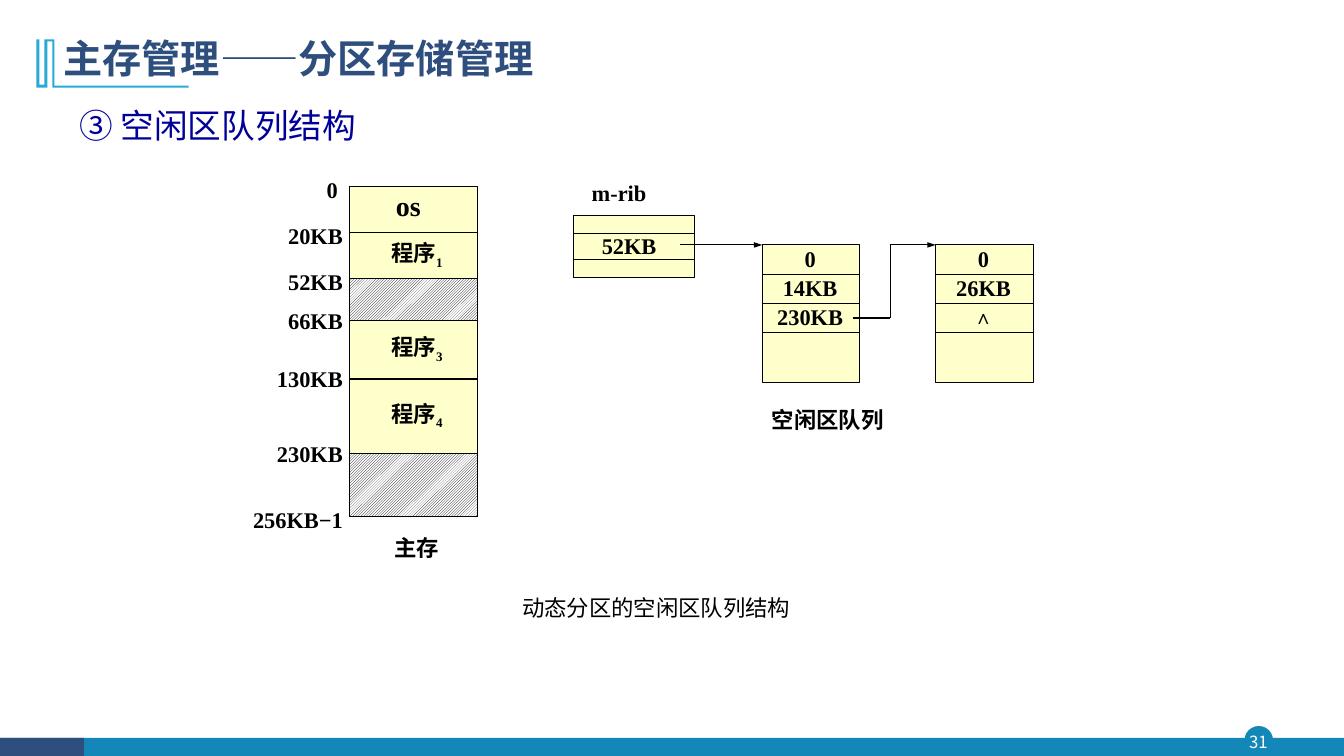
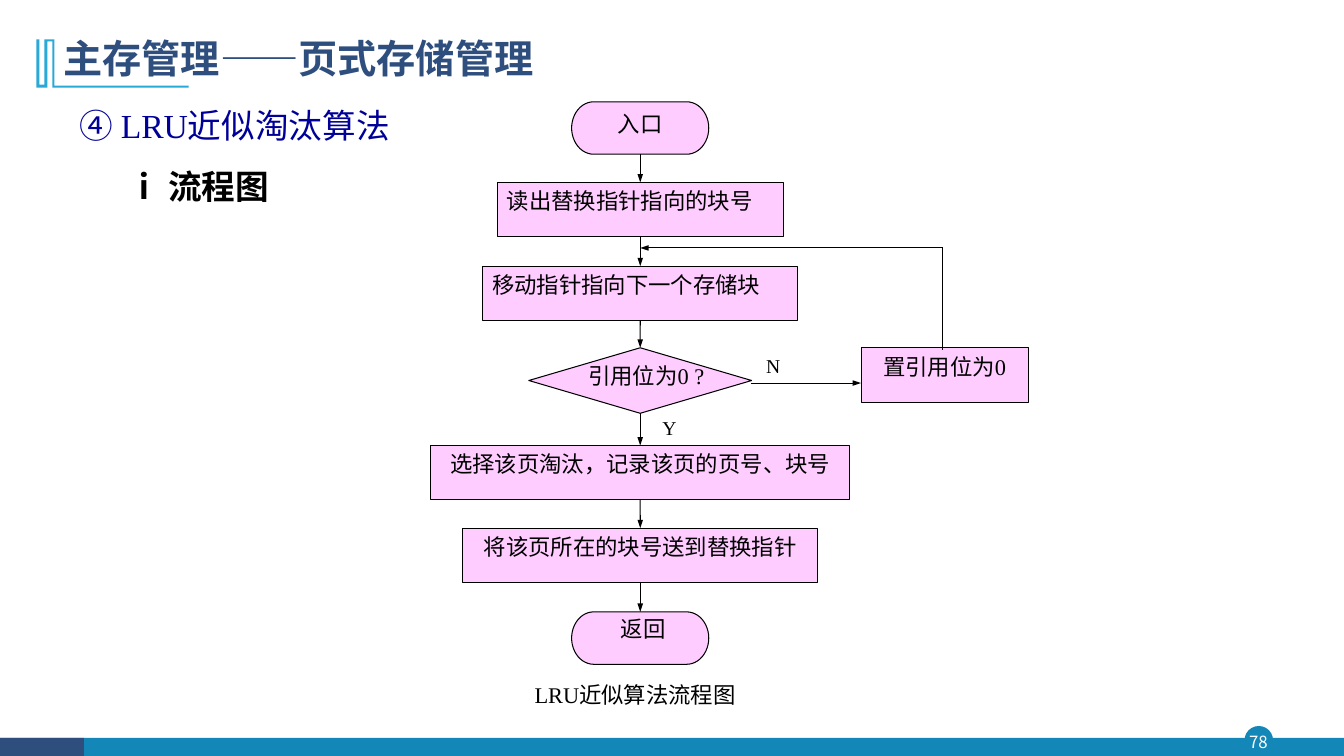
import pptx
import pptx.util
import pptx.dml.color
import pptx.enum.dml
import pptx.enum.shapes
import pptx.enum.text
import pptx.oxml.ns
from lxml import etree

Inches, Pt = pptx.util.Inches, pptx.util.Pt
RGB = pptx.dml.color.RGBColor
SHAPE = pptx.enum.shapes.MSO_SHAPE
ALIGN = pptx.enum.text.PP_ALIGN
ANCHOR = pptx.enum.text.MSO_ANCHOR
qn = pptx.oxml.ns.qn

W, H = 13.33, 7.5
TEAL, NAVY, SKY = RGB(0x13, 0x87, 0xB7), RGB(0x2E, 0x4E, 0x7E), RGB(0x28, 0xA9, 0xD6)
BLUE, BLACK, WHITE = RGB(0, 0, 0x99), RGB(0, 0, 0), RGB(255, 255, 255)
CREAM, PINK = RGB(0xFF, 0xFF, 0xCC), RGB(0xFF, 0xCC, 0xFF)
SERIF, SANS = "Times New Roman", "Noto Sans CJK SC"


# ---- Text and shape helpers ----
def add_run(p, text, size=16, color=BLACK, bold=False, font=SERIF, sub=False):
    r = p.add_run()
    r.text = text
    f = r.font
    f.size, f.bold, f.name = Pt(size), bold, font
    f.color.rgb = color
    rPr = r._r.get_or_add_rPr()
    etree.SubElement(rPr, qn("a:ea")).set("typeface", SANS)
    if sub:
        rPr.set("baseline", "-25000")


def set_frame(tf, inset=(0, 0), anchor=ANCHOR.MIDDLE):
    tf.margin_left = tf.margin_right = Inches(inset[0])
    tf.margin_top = tf.margin_bottom = Inches(inset[1])
    tf.vertical_anchor, tf.word_wrap = anchor, True
    tf.auto_size = pptx.enum.text.MSO_AUTO_SIZE.NONE


def place(sp, x, y, w, h):
    sp.left, sp.top, sp.width, sp.height = map(Inches, (x, y, w, h))


def add_box(s, kind, x, y, w, h, fill, line=BLACK, weight=0.75):
    sp = s.shapes.add_shape(kind, *map(Inches, (x, y, w, h)))
    sp.shadow.inherit = False
    sp.fill.solid()
    sp.fill.fore_color.rgb = fill
    if line is None:
        sp.line.fill.background()
    else:
        sp.line.color.rgb = line
        sp.line.width = Pt(weight)
    return sp


def add_label(s, cx, cy, runs, align=ALIGN.CENTER, w=1.6):
    """A line of (text, style) runs centred on (cx, cy), or ending at cx when right-aligned."""
    left = cx - w if align == ALIGN.RIGHT else cx - w / 2
    sp = s.shapes.add_textbox(*map(Inches, (left, cy - 0.18, w, 0.36)))
    set_frame(sp.text_frame)
    p = sp.text_frame.paragraphs[0]
    p.alignment = align
    for text, style in runs:
        add_run(p, text, **style)


def add_line(s, start, end, arrow=False):
    c = s.shapes.add_connector(pptx.enum.shapes.MSO_CONNECTOR.STRAIGHT,
                               *map(Inches, start + end))
    c.line.color.rgb = BLACK
    c.line.width = Pt(0.75)
    if arrow:
        etree.SubElement(c.line._get_or_add_ln(), qn("a:tailEnd"),
                         {"type": "triangle", "w": "sm", "len": "med"})
    etree.SubElement(c._element.spPr, qn("a:effectLst"))
    return c


def add_route(s, *points):
    """Straight legs through the points, with an arrowhead on the last."""
    for i in range(len(points) - 1):
        add_line(s, points[i], points[i + 1], arrow=i == len(points) - 2)


# ---- Shared slide frame ----
def add_frame(s, number):
    # Footer band and page number
    bar_y, bar_h = 7.32, 0.18
    badge = add_box(s, SHAPE.OVAL, 12.35, 7.21, 0.27, 0.27, TEAL, TEAL, 1)
    add_box(s, SHAPE.RECTANGLE, 0, bar_y, W, bar_h, TEAL, None)
    add_box(s, SHAPE.RECTANGLE, 0, bar_y, W / 16, bar_h, NAVY, None)
    num = s.shapes.add_textbox(badge.left - Inches(0.03), badge.top, Inches(0.32), Inches(0.3))
    set_frame(num.text_frame)
    p = num.text_frame.paragraphs[0]
    p.alignment = ALIGN.CENTER
    add_run(p, number, 12, WHITE, font=SANS)
    # Bracket beside the title, in hundredths of an inch
    outline = [(54, 85), (187, 85), (187, 87), (52, 87), (52, 41), (47, 41), (47, 87),
               (36, 87), (36, 39), (39, 39), (39, 84), (44, 84), (44, 39)]
    fb = s.shapes.build_freeform(54, 39, scale=Inches(0.01))
    fb.add_line_segments(outline, close=True)
    bracket = fb.convert_to_shape()
    bracket.shadow.inherit = False
    bracket.fill.solid()
    bracket.fill.fore_color.rgb = SKY
    bracket.line.fill.background()


def new_slide(prs, number, title, headings):
    """headings: (indent, colour, bold, [(text, font), ...]) for each paragraph."""
    s = prs.slides.add_slide(prs.slide_layouts[1])
    add_frame(s, number)
    head = s.shapes.title
    place(head, 0.53, 0.32, 10.49, 0.56)
    set_frame(head.text_frame, (0.1, 0.05))
    p = head.text_frame.paragraphs[0]
    p.alignment, p.line_spacing = ALIGN.LEFT, 0.9
    add_run(p, title, 28, NAVY, True, SANS)

    body = s.placeholders[1]
    place(body, 0.69, 0.99, 3.5, 0.58 * len(headings))
    tf = body.text_frame
    set_frame(tf, (0.1, 0.05), ANCHOR.TOP)
    for i, (indent, color, bold, runs) in enumerate(headings):
        p = tf.add_paragraph() if i else tf.paragraphs[0]
        pPr = p._p.get_or_add_pPr()
        pPr.set("marL", str(Inches(indent)))
        pPr.set("indent", "0")
        etree.SubElement(pPr, qn("a:buNone"))
        p.space_before = Pt(15 if i else 0)
        for text, font in runs:
            add_run(p, text, 24, color, bold, font)
    return s


# ---- Memory map and free queue ----
HATCH = "hatch"
BOLD = {"bold": True}


def add_stack(s, x, y, w, edges, cells, shift=0):
    """A box ruled at the edges (offsets from y); shift moves the cell text sideways."""
    add_box(s, SHAPE.RECTANGLE, x, y, w, edges[-1], CREAM)
    for edge in edges[1:-1]:
        add_line(s, (x, y + edge), (x + w, y + edge))
    for top, bottom, cell in zip(edges, edges[1:], cells):
        if cell == HATCH:
            free = add_box(s, SHAPE.RECTANGLE, x, y + top, w, bottom - top, CREAM)
            free.fill.patterned()
            free.fill.pattern = pptx.enum.dml.MSO_PATTERN.LIGHT_UPWARD_DIAGONAL
            free.fill.fore_color.rgb = BLACK
            free.fill.back_color.rgb = WHITE
        elif cell:
            add_label(s, x + w / 2 + shift, y + (top + bottom) / 2 - 0.01, cell, w=w)


def add_memory_map(s, x, y):
    def program(n):
        return [("程序", BOLD), (n, {"bold": True, "sub": True})]

    edges = [0, 0.46, 0.91, 1.33, 1.91, 2.65, 3.27]
    add_stack(s, x, y, 1.27, edges,
              [None, program("1"), HATCH, program("3"), program("4"), HATCH], 0.03)
    add_label(s, x + 0.58, y + 0.19, [("os", {"size": 20, "bold": True})], w=0.6)
    addresses = ["0", "20KB", "52KB", "66KB", "130KB", "230KB", "256KB−1"]
    for i, (edge, address) in enumerate(zip(edges, addresses)):
        drop = 0 if 3 <= i <= 5 else 0.03
        gap = 0.07 if i else 0.12
        add_label(s, x - gap, y + edge + drop, [(address, BOLD)], ALIGN.RIGHT, 1.1)
    add_label(s, x + 0.66, y + edges[-1] + 0.31, [("主存", BOLD)], w=0.9)


def add_free_queue(s, x, y):
    add_label(s, x + 0.45, y - 0.23, [("m-rib", BOLD)], w=0.93)
    add_stack(s, x, y, 1.2, [0, 0.18, 0.43, 0.61], [None, [("52KB", BOLD)], None], -0.05)
    top, w, row = y + 0.29, 0.97, 0.29
    first, second = x + 1.87, x + 3.59
    end_mark = {"size": 14, "bold": True, "font": "Arial"}
    for left, size, link, style in [(first, "14KB", "230KB", BOLD), (second, "26KB", "∧", end_mark)]:
        add_stack(s, left, top, w, [0, row, 2 * row, 3 * row, 1.37],
                  [[("0", BOLD)], [(size, BOLD)], [(link, style)], None], -0.01)
    # Links between the nodes
    add_route(s, (x + 1.05, top), (first, top))
    link_y, turn = top + 2.5 * row, first + w + 0.3
    add_route(s, (first + w - 0.07, link_y), (turn, link_y), (turn, top), (second, top))
    add_label(s, first + 0.65, top + 1.73, [("空闲区队列", BOLD)], w=1.5)


# ---- Flowchart ----
def add_step(s, cx, y, w, runs, align=ALIGN.CENTER):
    sp = add_box(s, SHAPE.RECTANGLE, cx - w / 2, y, w, 0.54, PINK)
    set_frame(sp.text_frame, (0.1, 0.05), ANCHOR.TOP)
    p = sp.text_frame.paragraphs[0]
    p.alignment = align
    for i, text in enumerate(runs):
        add_run(p, text, font=SANS if i == 1 else SERIF)
    return sp


def add_outline(s, kind, cx, y, w, h, text, dx, dy):
    """A terminator or decision, its label moved by (dx, dy) from the centre."""
    sp = add_box(s, kind, cx - w / 2, y, w, h, PINK)
    add_label(s, cx + dx, y + h / 2 + dy, [(text, {})], w=1.4)
    return sp


def add_flowchart(s, cx, y):
    end, test = SHAPE.FLOWCHART_TERMINATOR, SHAPE.FLOWCHART_DECISION
    nodes = [
        add_outline(s, end, cx, y, 1.36, 0.52, "入口", 0, -0.04),
        add_step(s, cx, y + 0.80, 2.84, ["读出替换指针指向的块号"], ALIGN.LEFT),
        add_step(s, cx, y + 1.63, 3.13, ["移动指针指向下一个存储块"], ALIGN.LEFT),
        add_outline(s, test, cx, y + 2.44, 2.21, 0.65, "引用位为0 ?", 0.06, -0.05),
        add_step(s, cx, y + 3.41, 4.16, ["选择该页淘汰，记录该页的页号", "、块号"]),
        add_step(s, cx, y + 4.23, 3.52, ["将该页所在的", "块号送到", "替换指针"]),
        add_outline(s, end, cx, y + 5.06, 1.36, 0.52, "返回", 0.03, -0.09),
    ]
    for upper, lower in zip(nodes, nodes[1:]):
        c = add_line(s, (cx, y), (cx, y + 0.3), arrow=True)
        c.begin_connect(upper, 2)
        c.end_connect(lower, 0)
    # Branch that clears the bit and loops back
    side = cx + 3.02
    add_step(s, side, y + 2.44, 1.66, ["置引用位为0"])
    add_route(s, (cx + 1.1, y + 2.79), (side - 0.83, y + 2.79))
    add_route(s, (side - 0.02, y + 2.46), (side - 0.02, y + 1.45), (cx, y + 1.45))
    for dx, dy, text in [(0.29, 3.23, "Y"), (1.32, 2.62, "N")]:
        add_label(s, cx + dx, y + dy, [(text, {"size": 14})], w=0.4)


def main():
    prs = pptx.Presentation()
    prs.slide_width, prs.slide_height = Inches(W), Inches(H)

    s = new_slide(prs, "31", "主存管理——分区存储管理",
                  [(0, BLUE, False, [("③ 空闲区队列结构", SERIF)])])
    add_memory_map(s, 3.47, 1.85)
    add_free_queue(s, 5.69, 2.14)
    add_label(s, 6.51, 6.03, [("动态分区的空闲区队列结构", {})], w=3.4)

    s = new_slide(prs, "78", "主存管理——页式存储管理",
                  [(0, BLUE, False, [("④ ", SANS), ("LRU近似淘汰算法", SERIF)]),
                   (0.47, BLACK, True, [("ⅰ ", SANS), ("流程图", SERIF)])])
    add_flowchart(s, 6.35, 1.01)
    add_label(s, 6.3, 6.89, [("LRU近似算法流程图", {})], w=2.3)

    prs.save("out.pptx")


if __name__ == "__main__":
    main()
